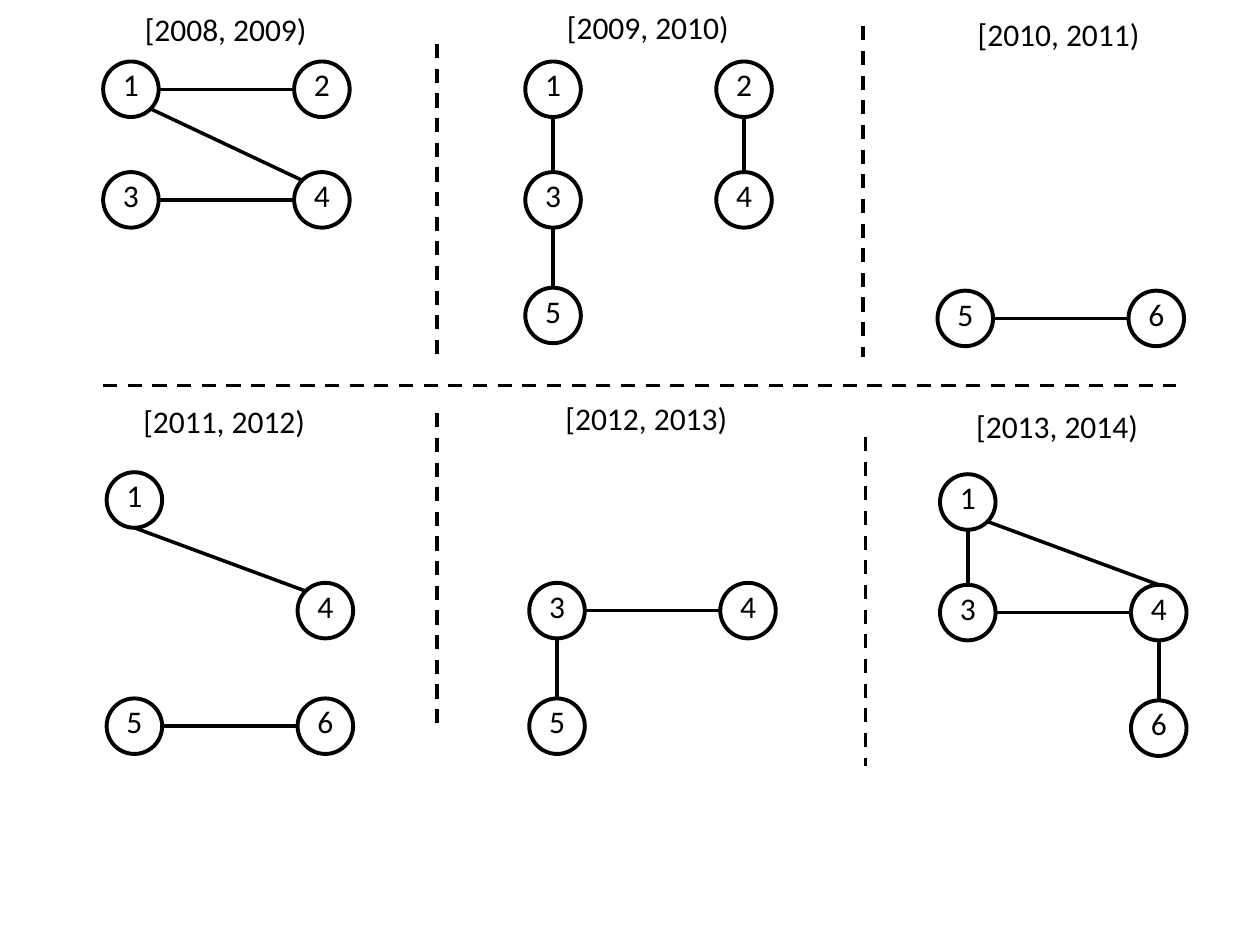
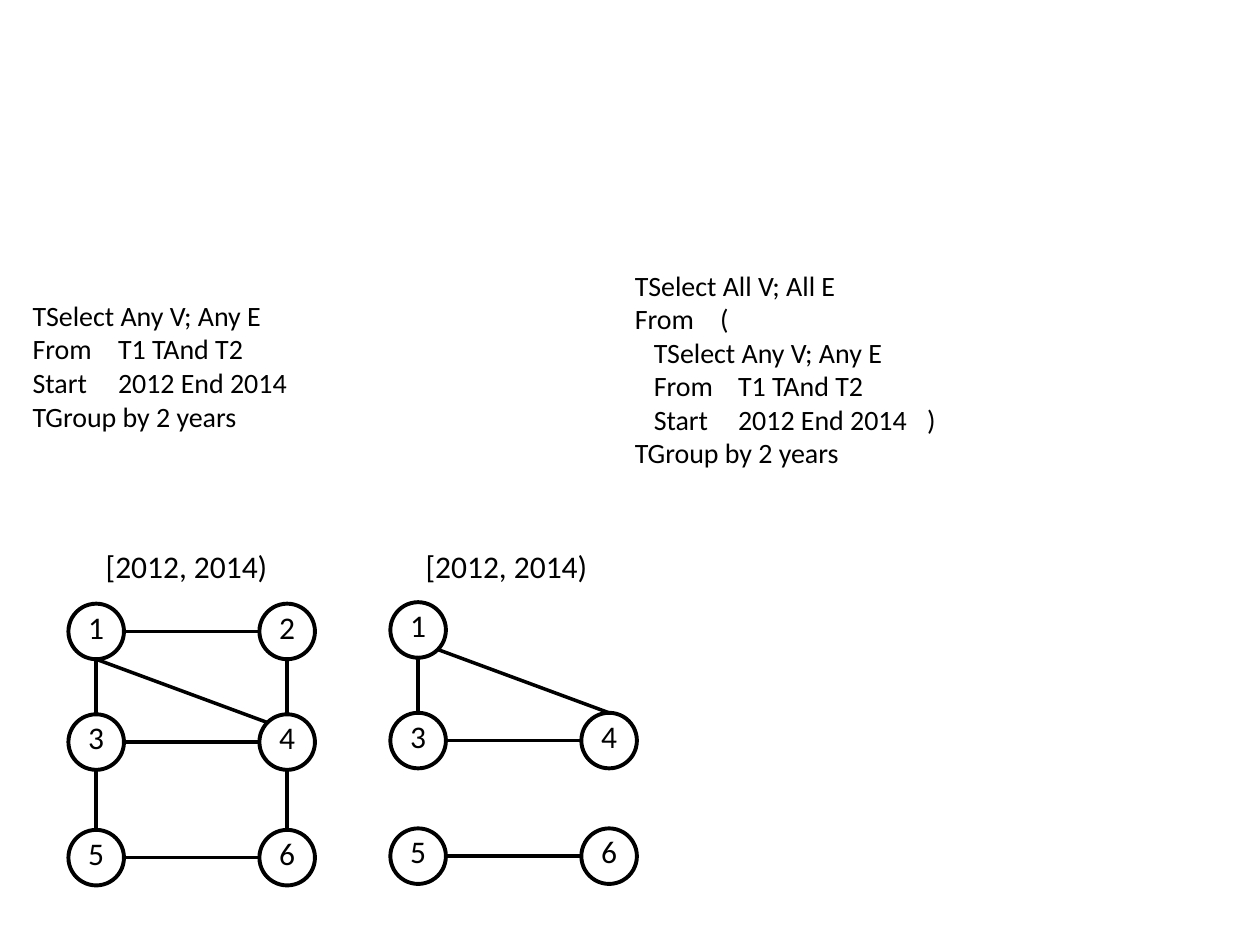
from itertools import chain

from lxml.etree import SubElement
from pptx import Presentation
from pptx.dml.color import RGBColor
from pptx.enum.dml import MSO_LINE
from pptx.enum.shapes import MSO_CONNECTOR, MSO_SHAPE
from pptx.enum.text import MSO_ANCHOR, PP_ALIGN
from pptx.oxml.ns import qn
from pptx.util import Cm, Pt

COLORS = {"ink": "000000"}
FONT = "Calibri"
NODE = 1.12
COLUMN_STEP = 3.85
ROW_TOPS = (0, 2.23, 4.56)
SITES = {
    "top": (0.5, 0),
    "upper left": (0.15, 0.15),
    "left": (0, 0.5),
    "bottom": (0.5, 1),
    "lower right": (0.85, 0.85),
    "right": (1, 0.5),
}
PLAIN_TABS = (1.72,)
NESTED_TABS = (0.38, 2.08, 5.89)

YEAR_GRAPHS = [
    ("[2008, 2009)", (2.67, 0.08), (2.08, 1.24), ["12", "34", "14"], ("lower right", "upper left")),
    ("[2009, 2010)", (11.18, 0.03), (10.59, 1.24), ["13", "35", "24"], None),
    ("[2010, 2011)", (19.46, 0.18), (18.9, 1.3), ["56"], None),
    ("[2011, 2012)", (2.64, 7.98), (2.15, 9.52), ["14", "56"], ("bottom", "upper left")),
    ("[2012, 2013)", (11.15, 7.92), (10.67, 9.52), ["34", "35"], None),
    ("[2013, 2014)", (19.43, 8.08), (18.95, 9.56), ["13", "34", "14", "46"], ("lower right", "top")),
]
RESULT_GRAPHS = [
    ("[2012, 2014)", (1.88, 10.9), (1.38, 12.17),
     ["12", "13", "14", "24", "34", "35", "46", "56"], ("bottom", "upper left")),
    ("[2012, 2014)", (8.33, 10.9), (7.87, 12.14),
     ["13", "14", "34", "56"], ("lower right", "top")),
]
SEPARATORS = [
    ((8.81, 0.89), (8.81, 7.19)),
    ((17.4, 0.53), (17.4, 7.19)),
    ((8.81, 8.33), (8.81, 14.63)),
    ((17.45, 8.81), (17.45, 15.44)),
    ((2.08, 7.77), (23.7, 7.77)),
]
ANY_QUERY = [
    "TSelect Any V; Any E",
    "From\tT1 TAnd T2",
    "Start\t2012 End 2014",
    "TGroup by 2 years",
]
ALL_QUERY = [
    "TSelect All V; All E",
    "From\t(",
    "\tTSelect Any V; Any E",
    "\tFrom\tT1 TAnd T2",
    "\tStart\t2012 End 2014\t)",
    "TGroup by 2 years",
]


def ink():
    return RGBColor.from_string(COLORS["ink"])


def format_text(paragraph, size):
    for run in paragraph.runs:
        run.font.name = FONT
        run.font.size = Pt(size)
        run.font.color.rgb = ink()


def add_line(shapes, start, end, dash=None):
    line = shapes.add_connector(MSO_CONNECTOR.STRAIGHT, *map(Cm, start + end))
    line.line.color.rgb = ink()
    line.line.width = Pt(2)
    if dash:
        line.line.dash_style = dash
    SubElement(line._element.spPr, qn("a:effectLst"))


def add_node(shapes, name, left, top):
    node = shapes.add_shape(MSO_SHAPE.OVAL, Cm(left), Cm(top), Cm(NODE), Cm(NODE))
    node.shadow.inherit = False
    node.fill.background()
    node.line.color.rgb = ink()
    node.line.width = Pt(2.25)
    frame = node.text_frame
    frame.margin_left = frame.margin_right = frame.margin_top = 0
    frame.margin_bottom = Cm(0.2)
    frame.vertical_anchor = MSO_ANCHOR.MIDDLE
    frame.word_wrap = False
    frame.text = name
    frame.paragraphs[0].alignment = PP_ALIGN.CENTER
    format_text(frame.paragraphs[0], 18)


def grid_cell(name):
    row, column = divmod(int(name) - 1, 2)
    return row, column


def node_position(name, origin):
    row, column = grid_cell(name)
    return origin[0] + column * COLUMN_STEP, origin[1] + ROW_TOPS[row]


def edge_sites(first, second, diagonal):
    first_row, first_column = grid_cell(first)
    second_row, second_column = grid_cell(second)
    if first_row == second_row:
        return "right", "left"
    if first_column == second_column:
        return "bottom", "top"
    return diagonal


def site_point(name, origin, site):
    left, top = node_position(name, origin)
    across, down = SITES[site]
    return left + across * NODE, top + down * NODE


def add_interval(slide, text, left, top):
    box = slide.shapes.add_textbox(Cm(left), Cm(top), Cm(3.81), Cm(1.02))
    box.text_frame.word_wrap = False
    box.text_frame.text = text
    format_text(box.text_frame.paragraphs[0], 18)


def add_graph(slide, interval, label_position, origin, edges, diagonal):
    add_interval(slide, interval, *label_position)
    shapes = slide.shapes.add_group_shape().shapes
    for edge in edges:
        ends = zip(edge, edge_sites(*edge, diagonal))
        add_line(shapes, *(site_point(name, origin, site) for name, site in ends))
    for name in sorted(set(chain.from_iterable(edges))):
        add_node(shapes, name, *node_position(name, origin))


def set_tabs(paragraph, positions):
    tab_list = SubElement(paragraph._p.get_or_add_pPr(), qn("a:tabLst"))
    for position in positions:
        SubElement(tab_list, qn("a:tab"), pos=str(Cm(position)), algn="l")


def add_query(slide, lines, left, top, width, height):
    box = slide.shapes.add_textbox(Cm(left), Cm(top), Cm(width), Cm(height))
    frame = box.text_frame
    frame.word_wrap = True
    frame.text = "\n".join(lines)
    for paragraph in frame.paragraphs:
        nested = paragraph.text.startswith("\t")
        set_tabs(paragraph, NESTED_TABS if nested else PLAIN_TABS)
        format_text(paragraph, 16)


def add_blank_slide(presentation):
    return presentation.slides.add_slide(presentation.slide_layouts[6])


def build_years(presentation):
    slide = add_blank_slide(presentation)
    for start, end in SEPARATORS:
        add_line(slide.shapes, start, end, MSO_LINE.DASH)
    for graph in YEAR_GRAPHS:
        add_graph(slide, *graph)


def build_queries(presentation):
    slide = add_blank_slide(presentation)
    add_query(slide, ANY_QUERY, 0.41, 5.89, 5.72, 3.07)
    add_query(slide, ALL_QUERY, 12.55, 5.28, 6.7, 4.45)
    for graph in RESULT_GRAPHS:
        add_graph(slide, *graph)


def main():
    presentation = Presentation()
    presentation.slide_width = Cm(25.4)
    presentation.slide_height = Cm(19.05)
    build_years(presentation)
    build_queries(presentation)
    presentation.save("out.pptx")


main()
